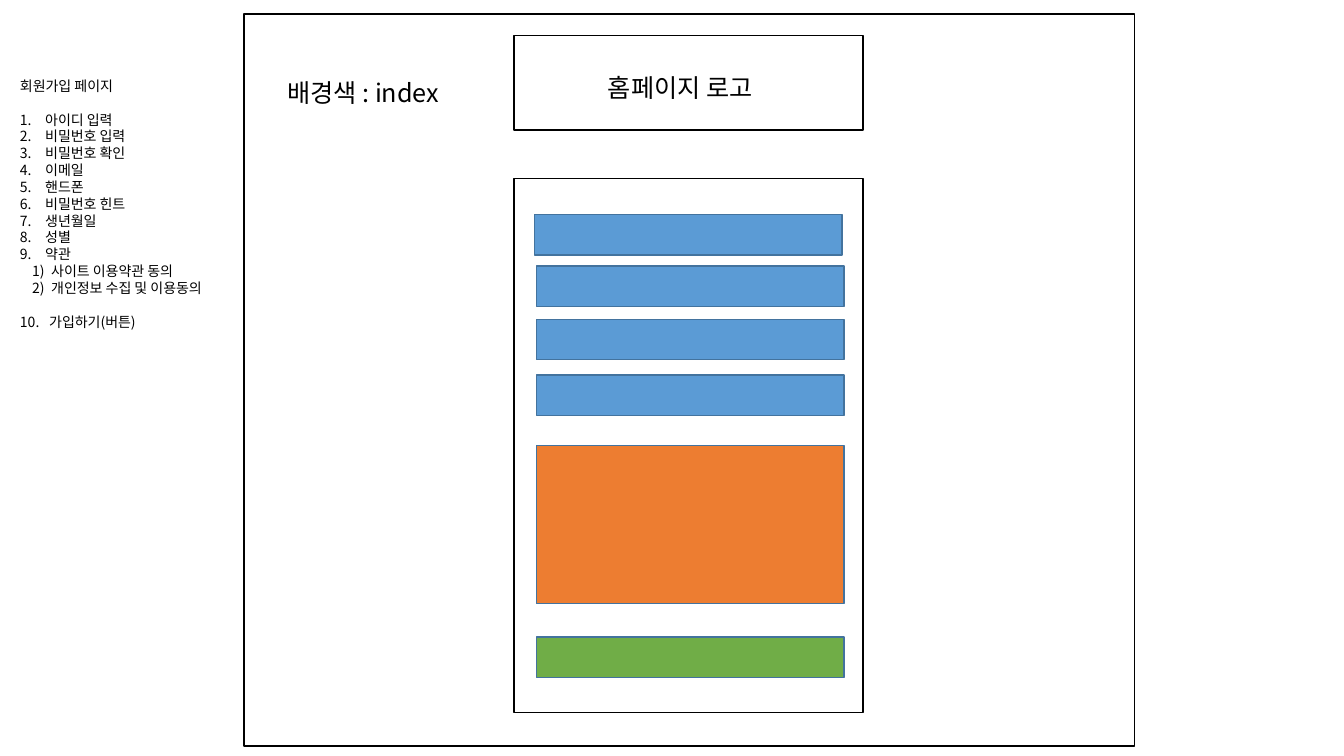
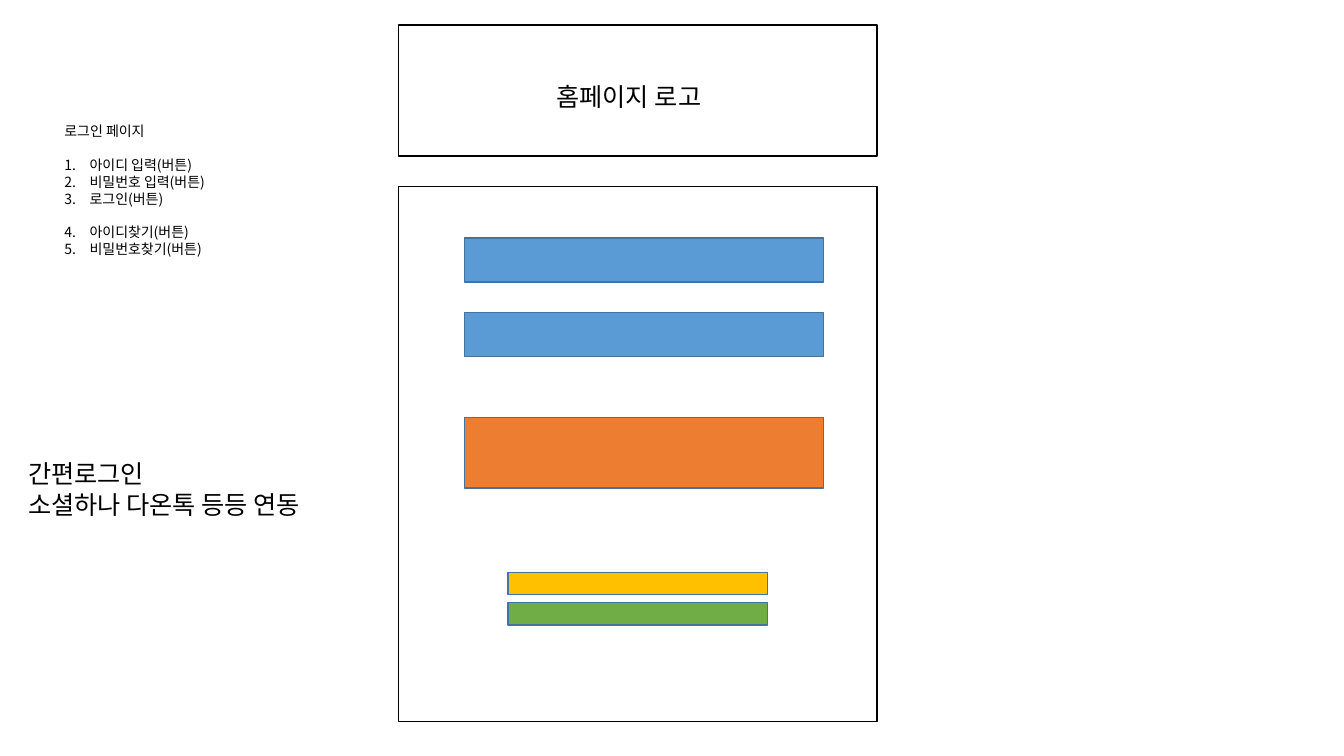
from lxml import etree
from pptx import Presentation
from pptx import util as u
from pptx.dml.color import RGBColor
from pptx.enum import shapes, text
from pptx.oxml.ns import qn

FONT = "Noto Sans CJK KR"
HEX = {"ink": "000000", "edge": "43739E", "blue": "5B9BD5",
       "orange": "ED7D31", "green": "70AD47", "gold": "FFC000"}
STYLES = {
    "item": ("arabicPeriod", 0.25, 0.25),
    "sub": ("arabicParenR", 0.31, 0.19),
    "last": ("arabicPeriod", 0.29, 0.29),
}
LOGO = "홈페이지 로고"

PAGES = [
    {
        "frames": [(2.42, 0.14, 8.83, 7.26), (5.1, 0.35, 3.46, 0.94),
                   (5.1, 1.77, 3.46, 5.3)],
        "bars": [
            ("blue", 5.3, 3.05, 0.4, [2.13]),
            ("blue", 5.32, 3.05, 0.4, [2.64, 3.17, 3.72]),
            ("orange", 5.32, 3.05, 1.57, [4.42]),
            ("green", 5.32, 3.05, 0.4, [6.32]),
        ],
        "labels": [((2.75, 0.72, 1.81, 0.4), ["배경색 : index"]),
                   ((5.93, 0.67, 1.81, 0.4), [LOGO])],
        "notes": (0.1, 0.72, 2.26, 2.63),
        "title": "회원가입 페이지",
        "groups": [
            ("item", 1, True, ["아이디 입력", "비밀번호 입력", "비밀번호 확인",
                               "이메일", "핸드폰", "비밀번호 힌트",
                               "생년월일", "성별", "약관"]),
            ("sub", 1, False, ["사이트 이용약관 동의",
                               "개인정보 수집 및 이용동의"]),
            ("last", 10, True, ["가입하기(버튼)"]),
        ],
    },
    {
        "frames": [(3.95, 0.25, 4.75, 1.3), (3.95, 1.85, 4.75, 5.31)],
        "bars": [
            ("blue", 4.61, 3.56, 0.44, [2.36, 3.1]),
            ("orange", 4.61, 3.56, 0.7, [4.14]),
            ("gold", 5.04, 2.57, 0.22, [5.68]),
            ("green", 5.04, 2.57, 0.22, [5.98]),
        ],
        "labels": [((5.42, 0.76, 1.81, 0.4), [LOGO]),
                   ((0.18, 4.5, 3.25, 0.71),
                    ["간편로그인", "소셜하나 다온톡 등등 연동"])],
        "notes": (0.54, 1.17, 3.01, 1.62),
        "title": "로그인 페이지",
        "groups": [
            ("item", 1, True, ["아이디 입력(버튼)", "비밀번호 입력(버튼)",
                               "로그인(버튼)"]),
            ("item", 4, True, ["아이디찾기(버튼)", "비밀번호찾기(버튼)"]),
        ],
    },
]


def color(name):
    return RGBColor.from_string(HEX[name])


def add_box(slide, place, edge, fill=None):
    box = slide.shapes.add_shape(shapes.MSO_SHAPE.RECTANGLE,
                                 *map(u.Inches, place))
    box.shadow.inherit = False
    if fill:
        box.fill.solid()
        box.fill.fore_color.rgb = color(fill)
    else:
        box.fill.background()
    box.line.color.rgb = color(edge)
    box.line.width = u.Pt(1)


def add_text(slide, place, wrap):
    frame = slide.shapes.add_textbox(*map(u.Inches, place)).text_frame
    frame.word_wrap = wrap
    frame.auto_size = text.MSO_AUTO_SIZE.SHAPE_TO_FIT_TEXT
    return frame


def add_line(frame, words, size, first=False):
    para = frame.paragraphs[0] if first else frame.add_paragraph()
    run = para.add_run()
    run.text = words
    run.font.size = u.Pt(size)
    run.font.name = FONT
    run.font.color.rgb = color("ink")
    etree.SubElement(run.font._element, qn("a:ea"), typeface=FONT)
    return para


def number(para, style, start):
    kind, left, hang = STYLES[style]
    props = para._p.get_or_add_pPr()
    props.set("marL", str(u.Inches(left)))
    props.set("indent", str(-u.Inches(hang)))
    mark = etree.SubElement(props, qn("a:buAutoNum"), type=kind)
    if start > 1:
        mark.set("startAt", str(start))


def add_notes(slide, page):
    frame = add_text(slide, page["notes"], True)
    add_line(frame, page["title"], 10, True)
    for style, start, gap, items in page["groups"]:
        for i, words in enumerate(items):
            para = add_line(frame, words, 10)
            if gap and i == 0:
                para.space_before = u.Pt(12)
            number(para, style, start)


def add_page(deck, page):
    slide = deck.slides.add_slide(deck.slide_layouts[6])
    for place in page["frames"]:
        add_box(slide, place, "ink")
    for fill, left, width, height, tops in page["bars"]:
        for top in tops:
            add_box(slide, (left, top, width, height), "edge", fill)
    for place, lines in page["labels"]:
        frame = add_text(slide, place, False)
        for i, words in enumerate(lines):
            add_line(frame, words, 18, i == 0)
    add_notes(slide, page)


def main():
    deck = Presentation()
    deck.slide_width = u.Inches(13.33)
    deck.slide_height = u.Inches(7.5)
    for page in PAGES:
        add_page(deck, page)
    deck.save("out.pptx")


if __name__ == "__main__":
    main()
